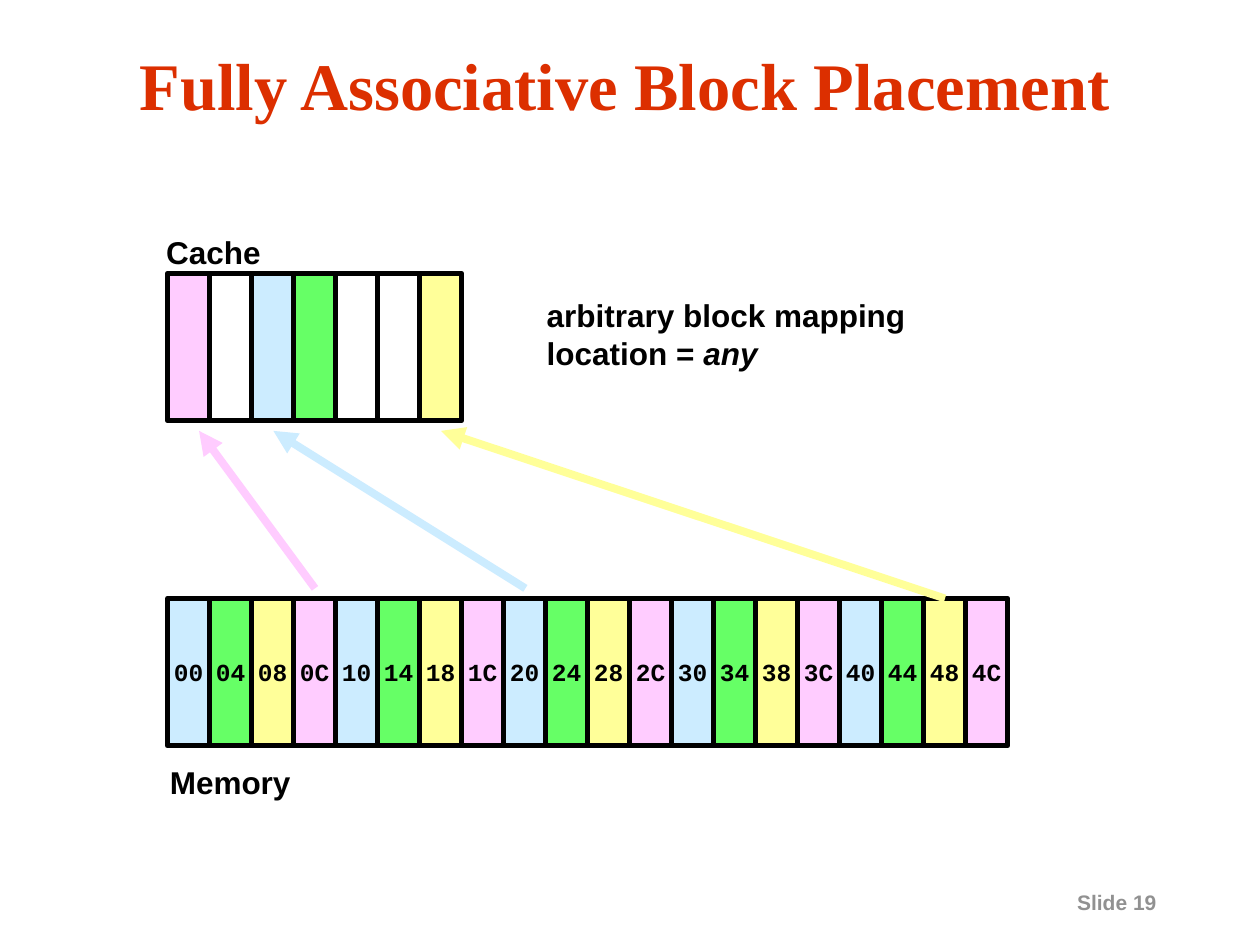
from dataclasses import dataclass

from lxml import etree
from pptx import Presentation
from pptx.dml.color import RGBColor
from pptx.enum.shapes import MSO_CONNECTOR, MSO_SHAPE
from pptx.enum.text import MSO_ANCHOR, PP_ALIGN
from pptx.oxml.ns import qn
from pptx.util import Inches, Pt

RECTANGLE = MSO_SHAPE.RECTANGLE
STRAIGHT = MSO_CONNECTOR.STRAIGHT
MIDDLE, TOP = MSO_ANCHOR.MIDDLE, MSO_ANCHOR.TOP
CENTER = PP_ALIGN.CENTER
TITLE_ONLY = 5


@dataclass(frozen=True)
class Theme:
    heading: RGBColor = RGBColor(0xDC, 0x2F, 0x00)
    ink: RGBColor = RGBColor(0x00, 0x00, 0x00)
    muted: RGBColor = RGBColor(0x91, 0x91, 0x91)
    blue: RGBColor = RGBColor(0xCC, 0xEC, 0xFF)
    green: RGBColor = RGBColor(0x66, 0xFF, 0x66)
    yellow: RGBColor = RGBColor(0xFF, 0xFF, 0x99)
    pink: RGBColor = RGBColor(0xFF, 0xCC, 0xFF)
    heading_font: str = "Times New Roman"
    body_font: str = "Arial"
    code_font: str = "Courier New"
    heading_size: int = 38
    label_size: int = 18
    address_size: int = 14
    footer_size: int = 12
    border: int = 3
    arrow: float = 4.5


THEME = Theme()
BLOCK_WIDTH = 1 / 3
BLOCK_HEIGHT = 1.17
ROW_LEFT = 1.33
CACHE_TOP = 2.17
MEMORY_TOP = 4.75
BLOCK_COLORS = (THEME.blue, THEME.green, THEME.yellow, THEME.pink)
MEMORY_BLOCKS = [
    (f"{4 * index:02X}", BLOCK_COLORS[index % len(BLOCK_COLORS)])
    for index in range(20)
]
CACHE_COLORS = (THEME.pink, None, THEME.blue, THEME.green, None, None, THEME.yellow)
MAPPINGS = [
    ((4.17, 4.67), (2.17, 3.42), THEME.blue),
    ((2.5, 4.67), (1.58, 3.42), THEME.pink),
    ((7.5, 4.75), (3.5, 3.42), THEME.yellow),
]


def style(paragraph, font_name, size, color):
    font = paragraph.font
    font.name = font_name
    font.size = Pt(size)
    font.bold = True
    font.color.rgb = color


def place_title(slide, left, top, width, height):
    title = slide.shapes.title
    title.left, title.top = Inches(left), Inches(top)
    title.width, title.height = Inches(width), Inches(height)
    frame = title.text_frame
    frame.text = "Fully Associative Block Placement"
    frame.vertical_anchor = MIDDLE
    heading = frame.paragraphs[0]
    heading.alignment = CENTER
    heading.line_spacing = 0.9
    style(heading, THEME.heading_font, THEME.heading_size, THEME.heading)


def add_label(slide, lines, left, top, width, height, wrap=False,
              size=THEME.label_size, color=THEME.ink, anchor=MIDDLE):
    """Add one paragraph per line; a line is a list of (text, italic) pairs."""
    label = slide.shapes.add_textbox(
        Inches(left), Inches(top), Inches(width), Inches(height))
    frame = label.text_frame
    frame.word_wrap = wrap
    frame.vertical_anchor = anchor
    for index, line in enumerate(lines):
        paragraph = frame.add_paragraph() if index else frame.paragraphs[0]
        style(paragraph, THEME.body_font, size, color)
        for text, italic in line:
            run = paragraph.add_run()
            run.text = text
            if italic:
                run.font.italic = True


def add_block_row(slide, blocks, left, top):
    """Add adjoining blocks given as (address, color); no color means empty."""
    for index, (address, color) in enumerate(blocks):
        block = slide.shapes.add_shape(
            RECTANGLE, Inches(left + index * BLOCK_WIDTH), Inches(top),
            Inches(BLOCK_WIDTH), Inches(BLOCK_HEIGHT))
        block.shadow.inherit = False
        if color is None:
            block.fill.background()
        else:
            block.fill.solid()
            block.fill.fore_color.rgb = color
        block.line.color.rgb = THEME.ink
        block.line.width = Pt(THEME.border)
        if address:
            frame = block.text_frame
            frame.text = address
            frame.word_wrap = False
            frame.vertical_anchor = MIDDLE
            frame.paragraphs[0].alignment = CENTER
            style(frame.paragraphs[0], THEME.code_font, THEME.address_size, THEME.ink)


def add_mapping_arrow(slide, start, end, color):
    arrow = slide.shapes.add_connector(
        STRAIGHT, *(Inches(value) for value in (*start, *end)))
    arrow.line.color.rgb = color
    arrow.line.width = Pt(THEME.arrow)
    properties = arrow._element.spPr
    etree.SubElement(properties.find(qn("a:ln")), qn("a:tailEnd"), type="triangle")
    etree.SubElement(properties, qn("a:effectLst"))


def main():
    deck = Presentation()
    deck.slide_width, deck.slide_height = Inches(10), Inches(7.5)
    slide = deck.slides.add_slide(deck.slide_layouts[TITLE_ONLY])

    place_title(slide, 0.25, 0.33, 9.42, 0.75)
    add_block_row(slide, MEMORY_BLOCKS, ROW_LEFT, MEMORY_TOP)
    add_block_row(slide, [("", color) for color in CACHE_COLORS], ROW_LEFT, CACHE_TOP)
    add_label(slide, [[("Cache", False)]], 1.22, 1.8, 0.95, 0.4)
    add_label(slide, [[("Memory", False)]], 1.25, 6.01, 1.16, 0.4)
    for start, end, color in MAPPINGS:
        add_mapping_arrow(slide, start, end, color)
    add_label(
        slide,
        [[("arbitrary block mapping", False)], [("location = ", False), ("any", True)]],
        4.24, 2.3, 4.51, 0.7, wrap=True)
    add_label(slide, [[("Slide 19", False)]], 8.45, 7.01, 1.45, 0.3,
              size=THEME.footer_size, color=THEME.muted, anchor=TOP)

    deck.save("out.pptx")


if __name__ == "__main__":
    main()
